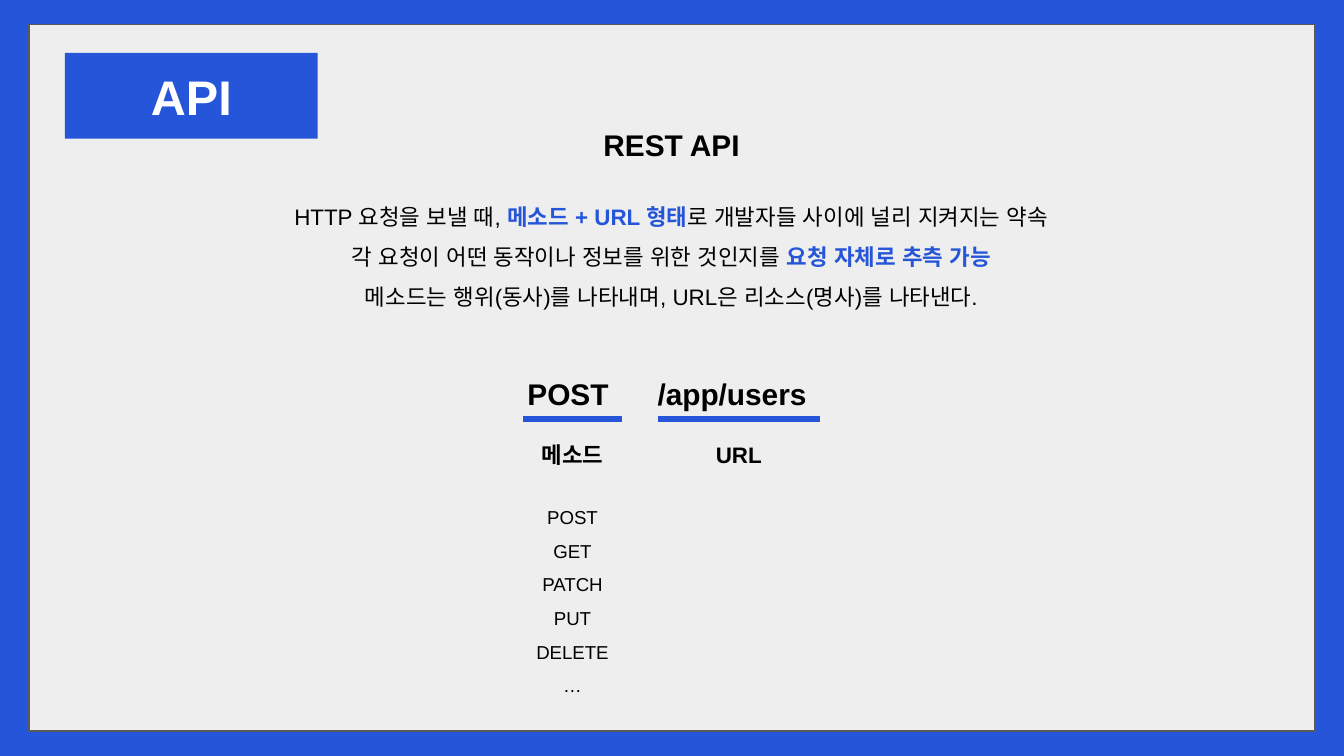
from dataclasses import dataclass

import pptx
import pptx.dml.color
import pptx.enum.shapes
import pptx.enum.text
import pptx.oxml.ns
import pptx.util
from lxml import etree

Pt = pptx.util.Pt
RGB = pptx.dml.color.RGBColor
RECT = pptx.enum.shapes.MSO_SHAPE.RECTANGLE
ALIGN = pptx.enum.text.PP_ALIGN
qn = pptx.oxml.ns.qn


@dataclass(frozen=True)
class Theme:
    font: str = "Arial"
    blue: RGB = RGB(0x25, 0x55, 0xD9)
    panel: RGB = RGB(0xEE, 0xEE, 0xEE)
    border: RGB = RGB(0x59, 0x59, 0x59)
    black: RGB = RGB(0, 0, 0)
    white: RGB = RGB(255, 255, 255)
    title: int = 26
    heading: int = 16
    body: int = 12
    small: int = 10


THEME = Theme()


def add_run(p, text, size, color, bold):
    r = p.add_run()
    r.text = text
    r.font.name = THEME.font
    r.font.size = Pt(size)
    r.font.bold = bold
    r.font.color.rgb = color
    etree.SubElement(r.font._element, qn("a:ea"), typeface=THEME.font)


def fill_text(tf, lines, size, color=THEME.black, bold=False, spacing=1.5,
              align=ALIGN.CENTER, inset_x=7.2, inset_y=7.2):
    """Write each line as a paragraph; a line is a list of (text, emphasized) pairs."""
    tf.word_wrap = True
    tf.margin_left = tf.margin_right = Pt(inset_x)
    tf.margin_top = tf.margin_bottom = Pt(inset_y)
    for i, line in enumerate(lines):
        p = tf.paragraphs[0] if i == 0 else tf.add_paragraph()
        p.alignment = align
        p.line_spacing = spacing
        for text, emphasized in line:
            add_run(p, text, size, THEME.blue if emphasized else color,
                    bold or emphasized)


def add_text(s, box, lines, size, **style):
    sp = s.shapes.add_textbox(*map(Pt, box))
    fill_text(sp.text_frame, lines, size, **style)


def add_rect(s, box, fill, line=None):
    sp = s.shapes.add_shape(RECT, *map(Pt, box))
    sp.shadow.inherit = False
    sp.fill.solid()
    sp.fill.fore_color.rgb = fill
    if line is None:
        sp.line.fill.background()
    else:
        sp.line.color.rgb = line
        sp.line.width = Pt(0.75)
    return sp


def add_underline(s, x1, x2, y):
    line = s.shapes.add_connector(pptx.enum.shapes.MSO_CONNECTOR.STRAIGHT,
                                  Pt(x1), Pt(y), Pt(x2), Pt(y))
    line.line.color.rgb = THEME.blue
    line.line.width = Pt(3)
    etree.SubElement(line._element.spPr, qn("a:effectLst"))


def add_request_part(s, left, width, text, indent, label):
    """Draw one part of the sample request, underlined and labelled."""
    add_text(s, (left + indent, 188, width + 10, 32.4), [[(text, False)]],
             THEME.heading, bold=True, align=ALIGN.LEFT, inset_x=0, inset_y=3.6)
    add_underline(s, left, left + width, 224.6)
    center = left + width / 2
    add_text(s, (center - 43.2, 221.8, 86.4, 36), [[(label, False)]],
             THEME.body, bold=True)


def main():
    prs = pptx.Presentation()
    prs.slide_width, prs.slide_height = Pt(720), Pt(405)
    s = prs.slides.add_slide(prs.slide_layouts[6])
    s.background.fill.solid()
    s.background.fill.fore_color.rgb = THEME.blue

    add_rect(s, (15.6, 13.2, 689, 378.5), THEME.panel, THEME.border)
    add_text(s, (82.8, 94.3, 553.7, 79.9), [
        [("HTTP 요청을 보낼 때, ", False), ("메소드 + URL 형태", True),
         ("로 개발자들 사이에 널리 지켜지는 약속", False)],
        [("각 요청이 어떤 동작이나 정보를 위한 것인지를 ", False),
         ("요청 자체로 추측 가능", True)],
        [("메소드는 행위(동사)를 나타내며, URL은 리소스(명사)를 나타낸다.", False)],
    ], THEME.body)

    tag = add_rect(s, (34.8, 28.3, 135.4, 46), THEME.blue)
    tag.text_frame.vertical_anchor = pptx.enum.text.MSO_ANCHOR.MIDDLE
    fill_text(tag.text_frame, [[("API", False)]], THEME.title,
              color=THEME.white, bold=True, spacing=1.0)
    add_text(s, (180.9, 60.5, 357.8, 33.8), [[("REST API", False)]],
             THEME.heading, bold=True, spacing=1.0)

    add_request_part(s, 280.1, 53.2, "POST", 2.5, "메소드")
    add_request_part(s, 352.3, 87, "/app/users", 0, "URL")

    methods = ["POST", "GET", "PATCH", "PUT", "DELETE", "…"]
    add_text(s, (263.5, 257.8, 86.4, 123.8), [[(m, False)] for m in methods],
             THEME.small)
    prs.save("out.pptx")


if __name__ == "__main__":
    main()
